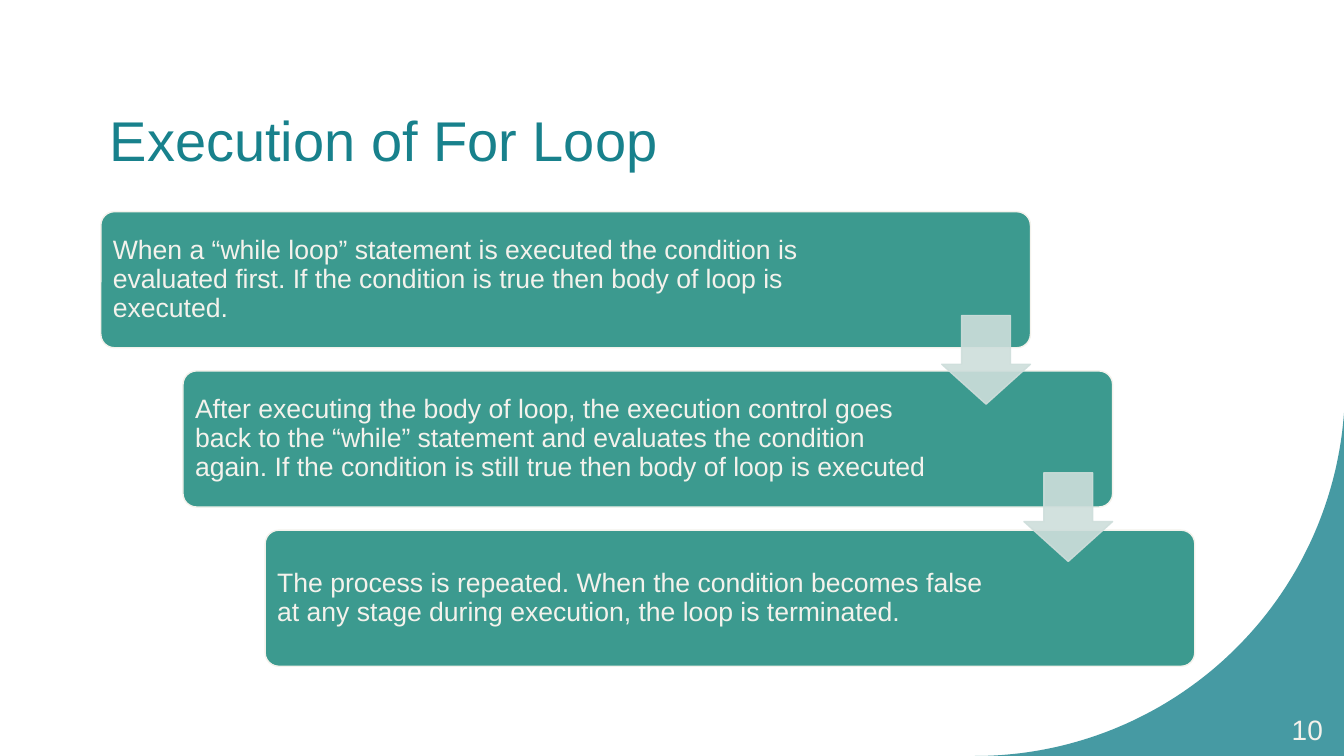
"""Build the slide "Execution of For Loop" as a staircase of three steps."""

import dataclasses
import math

import lxml.etree
import pptx
import pptx.dml.color
import pptx.enum.shapes
import pptx.enum.text
import pptx.oxml.ns
import pptx.shapes.autoshape
import pptx.slide
import pptx.util

Inches = pptx.util.Inches
Shape = pptx.shapes.autoshape.Shape
ShapeType = pptx.enum.shapes.MSO_SHAPE
Align = pptx.enum.text.PP_ALIGN


@dataclasses.dataclass(frozen=True)
class Theme:
    """Colours, font and type sizes."""

    font: str = "Arial"
    teal: str = "18818C"
    step: str = "3C9A8F"
    arrow: str = "CEDEDB"
    light: str = "F4F2EC"
    title_size: int = 40
    step_size: int = 19
    number_size: int = 20


@dataclasses.dataclass(frozen=True)
class Box:
    """A rectangle in inches."""

    left: float
    top: float
    width: float
    height: float

    def moved(self, across: float, down: float) -> "Box":
        """Return the same box at an offset."""
        return dataclasses.replace(self, left=self.left + across, top=self.top + down)

    def lengths(self) -> tuple:
        """Return left, top, width and height as lengths."""
        return tuple(Inches(value) for value in dataclasses.astuple(self))


@dataclasses.dataclass(frozen=True)
class Step:
    """One stage of the loop."""

    text: str
    text_width: float


THEME = Theme()
TITLE_BOX = Box(0.99, 0.65, 10.84, 1.45)
NUMBER_BOX = Box(12.46, 7.04, 0.76, 0.4)
STEP_BOX = Box(1, 2.1, 9.22, 1.35)
ARROW_BOX = Box(9.34, 3.13, 0.88, 0.88)
STEP_ACROSS = 1.63 / 2
STEP_DOWN = 1.58
ARROW_DOWN = 1.56
TEXT_MARGIN = 0.04
STEPS = (
    Step(
        "When a “while loop” statement is executed the condition is evaluated first. "
        "If the condition is true then body of loop is executed.",
        7.76,
    ),
    Step(
        "After executing the body of loop, the execution control goes back to the "
        "“while” statement and evaluates the condition again. If the condition is "
        "still true then body of loop is executed",
        7.44,
    ),
    Step(
        "The process is repeated. When the condition becomes false at any stage "
        "during execution, the loop is terminated.",
        7.44,
    ),
)


def color(value: str) -> pptx.dml.color.RGBColor:
    """Return a colour from its hexadecimal digits."""
    return pptx.dml.color.RGBColor.from_string(value)


def set_opacity(shape: Shape, percent: int) -> None:
    """Make the fill and line of a shape translucent."""
    tag = pptx.oxml.ns.qn("a:srgbClr")
    for element in list(shape.element.spPr.iter(tag)):
        alpha = lxml.etree.SubElement(element, pptx.oxml.ns.qn("a:alpha"))
        alpha.set("val", str(percent * 1000))


def paint(shape: Shape, fill: str, line: str | None = None) -> None:
    """Give a shape a plain fill and an optional one-point line."""
    shape.shadow.inherit = False
    shape.fill.solid()
    shape.fill.fore_color.rgb = color(fill)
    if line is None:
        shape.line.fill.background()
    else:
        shape.line.color.rgb = color(line)
        shape.line.width = pptx.util.Pt(1)


def write(
    shape: Shape,
    text: str,
    size: int,
    text_color: str,
    alignment: Align = Align.LEFT,
    spacing: float = 1.0,
    inset: float | None = None,
) -> None:
    """Write one formatted paragraph into a shape."""
    frame = shape.text_frame
    frame_format = {
        "word_wrap": True,
        "auto_size": pptx.enum.text.MSO_AUTO_SIZE.NONE,
        "vertical_anchor": pptx.enum.text.MSO_ANCHOR.MIDDLE,
    }
    if inset is not None:
        for side in ("left", "top", "right", "bottom"):
            frame_format[f"margin_{side}"] = Inches(inset)
    for name, value in frame_format.items():
        setattr(frame, name, value)
    paragraph = frame.paragraphs[0]
    paragraph.text = text
    for name, value in {"alignment": alignment, "line_spacing": spacing}.items():
        setattr(paragraph, name, value)
    for name, value in {"name": THEME.font, "size": pptx.util.Pt(size)}.items():
        setattr(paragraph.font, name, value)
    paragraph.font.color.rgb = color(text_color)


def draw_corner(slide: pptx.slide.Slide) -> Shape:
    """Draw the curved corner outside a circle."""
    center_x, radius, right, bottom = 9.67, 3.67, 13.34, 7.5
    center_y = bottom - radius
    angles = [math.radians(degree) for degree in range(4, 91)]
    points = [
        (
            Inches(center_x + radius * math.cos(angle)),
            Inches(center_y + radius * math.sin(angle)),
        )
        for angle in angles
    ]
    builder = slide.shapes.build_freeform(Inches(right), Inches(4.08))
    builder.add_line_segments([*points, (Inches(right), Inches(bottom))], close=True)
    corner = builder.convert_to_shape()
    paint(corner, THEME.teal)
    set_opacity(corner, 80)
    return corner


def draw_step(slide: pptx.slide.Slide, step: Step, box: Box) -> None:
    """Draw the panel and text of one step."""
    panel = slide.shapes.add_shape(ShapeType.ROUNDED_RECTANGLE, *box.lengths())
    panel.adjustments[0] = 0.1
    paint(panel, THEME.step, THEME.light)
    text_box = Box(
        box.left + TEXT_MARGIN,
        box.top + TEXT_MARGIN,
        step.text_width,
        box.height - 2 * TEXT_MARGIN,
    )
    label = slide.shapes.add_textbox(*text_box.lengths())
    write(label, step.text, THEME.step_size, THEME.light, spacing=0.9, inset=0.08)


def draw_arrow(slide: pptx.slide.Slide, box: Box) -> None:
    """Draw a translucent arrow to the next step."""
    arrow = slide.shapes.add_shape(ShapeType.DOWN_ARROW, *box.lengths())
    for index, value in enumerate((0.55, 0.45)):
        arrow.adjustments[index] = value
    paint(arrow, THEME.arrow, THEME.arrow)
    set_opacity(arrow, 90)


def main() -> None:
    """Build and save the presentation."""
    presentation = pptx.Presentation()
    presentation.slide_width = Inches(13.33)
    presentation.slide_height = Inches(7.5)
    slide = presentation.slides.add_slide(presentation.slide_layouts[5])
    title = slide.shapes.title
    for name, value in zip(("left", "top", "width", "height"), TITLE_BOX.lengths()):
        setattr(title, name, value)
    write(title, "Execution of For Loop", THEME.title_size, THEME.teal)
    title.element.addprevious(draw_corner(slide).element)
    for index, step in enumerate(STEPS):
        draw_step(slide, step, STEP_BOX.moved(index * STEP_ACROSS, index * STEP_DOWN))
    for index in range(len(STEPS) - 1):
        draw_arrow(slide, ARROW_BOX.moved(index * STEP_ACROSS, index * ARROW_DOWN))
    number = slide.shapes.add_textbox(*NUMBER_BOX.lengths())
    write(number, "10", THEME.number_size, THEME.light, Align.RIGHT)
    presentation.save("out.pptx")


if __name__ == "__main__":
    main()
